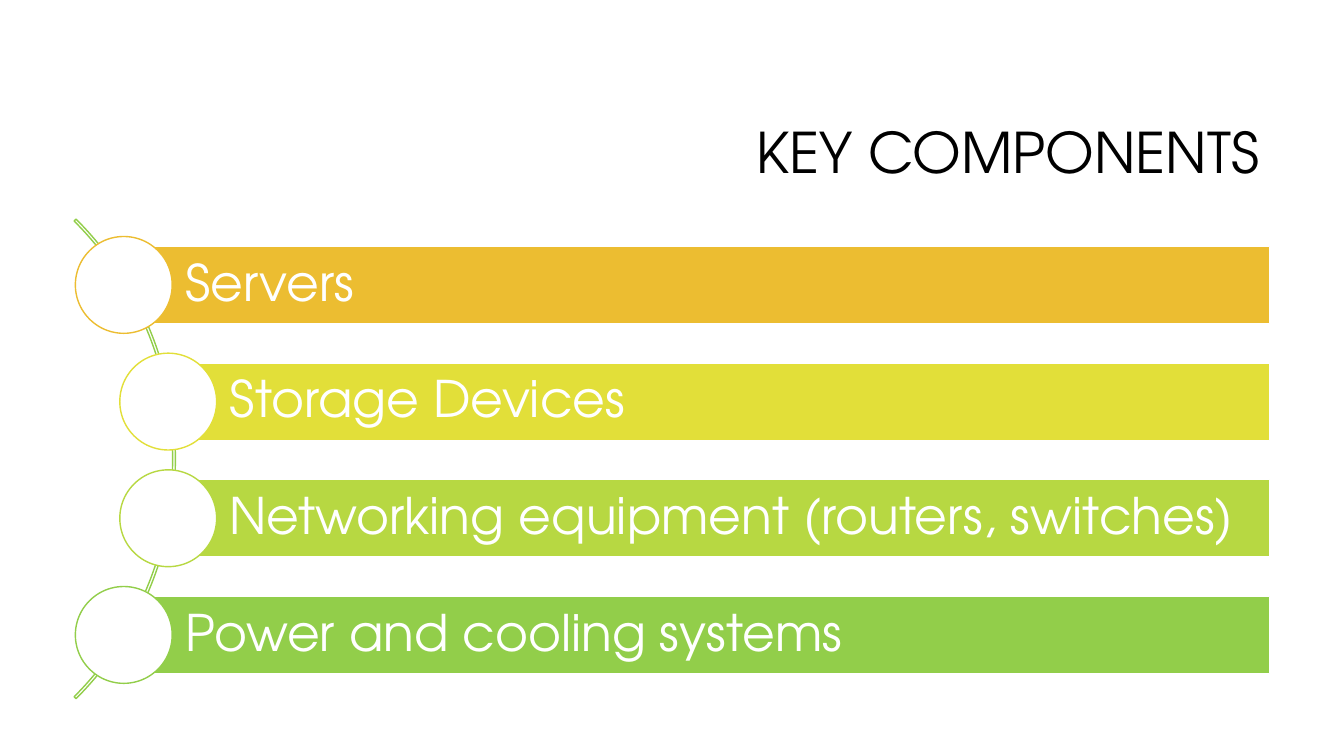
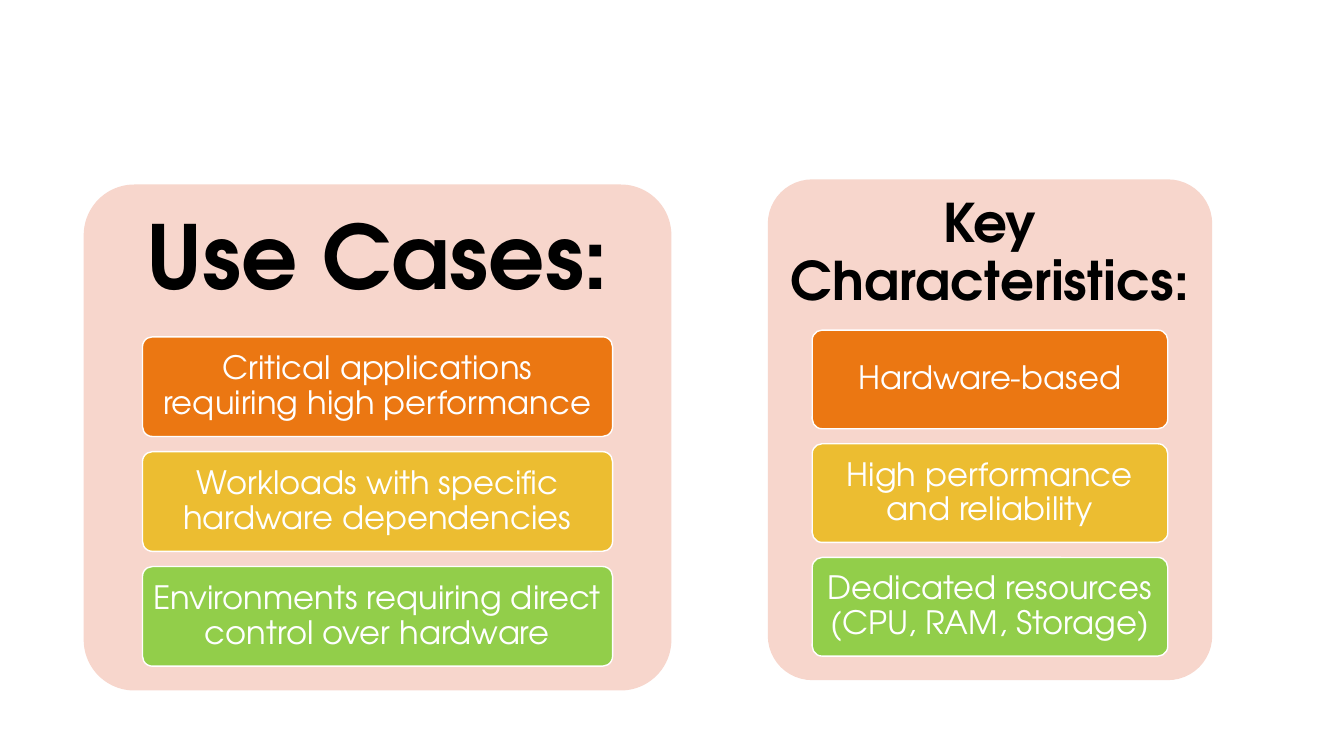
"""Build two slides: key components on an arc, and two panels of stacked cards."""
from dataclasses import dataclass
from typing import Optional

from pptx import Presentation
from pptx.dml.color import RGBColor
from pptx.enum.shapes import MSO_SHAPE
from pptx.enum.text import MSO_ANCHOR, PP_ALIGN
from pptx.util import Cm, Pt


@dataclass(frozen=True)
class Theme:
    font: str = "TeX Gyre Adventor"
    white: str = "FFFFFF"
    black: str = "000000"
    panel: str = "F7D6CC"
    orange: str = "EB7712"
    amber: str = "ECBD31"
    yellow: str = "E2DF39"
    lime: str = "B7D842"
    green: str = "92CE4A"
    title_size: int = 40
    bar_size: int = 36
    card_size: int = 23
    line_width: int = 1
    line_spacing: float = 0.9


THEME = Theme()


@dataclass(frozen=True)
class Box:
    left: float
    top: float
    width: float
    height: float

    def lengths(self) -> tuple:
        return Cm(self.left), Cm(self.top), Cm(self.width), Cm(self.height)


@dataclass(frozen=True)
class Component:
    text: str
    color: str
    left: float


@dataclass(frozen=True)
class Panel:
    heading: str
    heading_size: int
    heading_inset: float
    box: Box
    cards: tuple


COMPONENTS = (
    Component("Servers", THEME.amber, 3.12),
    Component("Storage Devices", THEME.yellow, 4.24),
    Component("Networking equipment (routers, switches)", THEME.lime, 4.24),
    Component("Power and cooling systems", THEME.green, 3.12),
)
BARS_RIGHT = 32.0
FIRST_CENTER = 7.18
BAR_STEP = 2.94
BAR_HEIGHT = 1.95
CIRCLE_SIZE = 2.44
ARC_BOX = Box(-12.67, 3.02, 17.09, 17.09)

PANELS = (
    Panel("Key Characteristics:", 38, 0.41, Box(19.35, 4.52, 11.2, 12.62),
          ("Hardware-based",
           "High performance and reliability",
           "Dedicated resources (CPU, RAM, Storage)")),
    Panel("Use Cases:", 63, 0.66, Box(2.11, 4.65, 14.81, 12.75),
          ("Critical applications requiring high performance",
           "Workloads with specific hardware dependencies",
           "Environments requiring direct control over hardware")),
)
CARD_COLORS = (THEME.orange, THEME.amber, THEME.green)


def write_text(shape, text: str, *, size: int, color: str = THEME.white,
               bold: bool = False, align=PP_ALIGN.LEFT,
               insets: tuple = (0.25, 0.13, 0.25, 0.13)) -> None:
    """Write one vertically centred paragraph; insets are left, top, right, bottom."""
    frame = shape.text_frame
    frame.word_wrap = True
    frame.vertical_anchor = MSO_ANCHOR.MIDDLE
    (frame.margin_left, frame.margin_top,
     frame.margin_right, frame.margin_bottom) = map(Cm, insets)
    para = frame.paragraphs[0]
    para.alignment = align
    para.line_spacing = THEME.line_spacing
    span = para.add_run()
    span.text = text
    span.font.name = THEME.font
    span.font.size = Pt(size)
    span.font.bold = bold
    span.font.color.rgb = RGBColor.from_string(color)


def add_figure(page, kind, box: Box, *, fill: Optional[str] = None,
               line: Optional[str] = None, adjust: tuple = ()):
    """Add a flat preset shape."""
    shape = page.shapes.add_shape(kind, *box.lengths())
    shape.shadow.inherit = False
    for index, value in enumerate(adjust):
        shape.adjustments[index] = value
    if fill:
        shape.fill.solid()
        shape.fill.fore_color.rgb = RGBColor.from_string(fill)
    else:
        shape.fill.background()
    if line:
        shape.line.color.rgb = RGBColor.from_string(line)
        shape.line.width = Pt(THEME.line_width)
    else:
        shape.line.fill.background()
    return shape


def add_title(page, text: str) -> None:
    """Add the right-aligned slide title."""
    title = page.shapes.add_textbox(*Box(8.05, 2.13, 23.93, 3.58).lengths())
    write_text(title, text, size=THEME.title_size, color=THEME.black,
               align=PP_ALIGN.RIGHT)


def add_component(page, component: Component, center: float) -> None:
    """Add a bar and the circle centred on its left end."""
    bar_box = Box(component.left, center - BAR_HEIGHT / 2,
                  BARS_RIGHT - component.left, BAR_HEIGHT)
    bar = add_figure(page, MSO_SHAPE.RECTANGLE, bar_box,
                     fill=component.color, line=THEME.white)
    write_text(bar, component.text, size=THEME.bar_size,
               insets=(1.55, 0.25, 0.25, 0.25))
    radius = CIRCLE_SIZE / 2
    circle_box = Box(component.left - radius, center - radius,
                     CIRCLE_SIZE, CIRCLE_SIZE)
    add_figure(page, MSO_SHAPE.OVAL, circle_box,
               fill=THEME.white, line=component.color)


def add_panel(page, panel: Panel) -> None:
    """Add a panel with its heading and cards in proportion to its size."""
    box = panel.box
    add_figure(page, MSO_SHAPE.ROUNDED_RECTANGLE, box,
               fill=THEME.panel, adjust=(0.1,))
    heading_box = Box(box.left, box.top, box.width, 0.3 * box.height)
    heading = page.shapes.add_textbox(*heading_box.lengths())
    write_text(heading, panel.heading, size=panel.heading_size,
               color=THEME.black, bold=True, align=PP_ALIGN.CENTER,
               insets=(panel.heading_inset,) * 4)
    card_height = 0.197 * box.height
    card_step = 0.227 * box.height
    for index, (text, color) in enumerate(zip(panel.cards, CARD_COLORS)):
        card_box = Box(box.left + 0.1 * box.width,
                       box.top + 0.301 * box.height + index * card_step,
                       0.8 * box.width, card_height)
        card = add_figure(page, MSO_SHAPE.ROUNDED_RECTANGLE, card_box,
                          fill=color, line=THEME.white, adjust=(0.1,))
        write_text(card, text, size=THEME.card_size, align=PP_ALIGN.CENTER,
                   insets=(0.15, 0.13, 0.15, 0.13))


def build_components(page) -> None:
    """Draw the key components slide."""
    add_title(page, "KEY COMPONENTS")
    add_figure(page, MSO_SHAPE.BLOCK_ARC, ARC_BOX, line=THEME.green,
               adjust=(189, 27, 0.004))
    for index, component in enumerate(COMPONENTS):
        add_component(page, component, FIRST_CENTER + index * BAR_STEP)


def build_panels(page) -> None:
    """Draw the slide of two panels."""
    for panel in PANELS:
        add_panel(page, panel)


def main() -> None:
    """Create and save the deck."""
    deck = Presentation()
    deck.slide_width, deck.slide_height = Cm(33.87), Cm(19.05)
    for build in (build_components, build_panels):
        build(deck.slides.add_slide(deck.slide_layouts[6]))
    deck.save("out.pptx")


if __name__ == "__main__":
    main()
